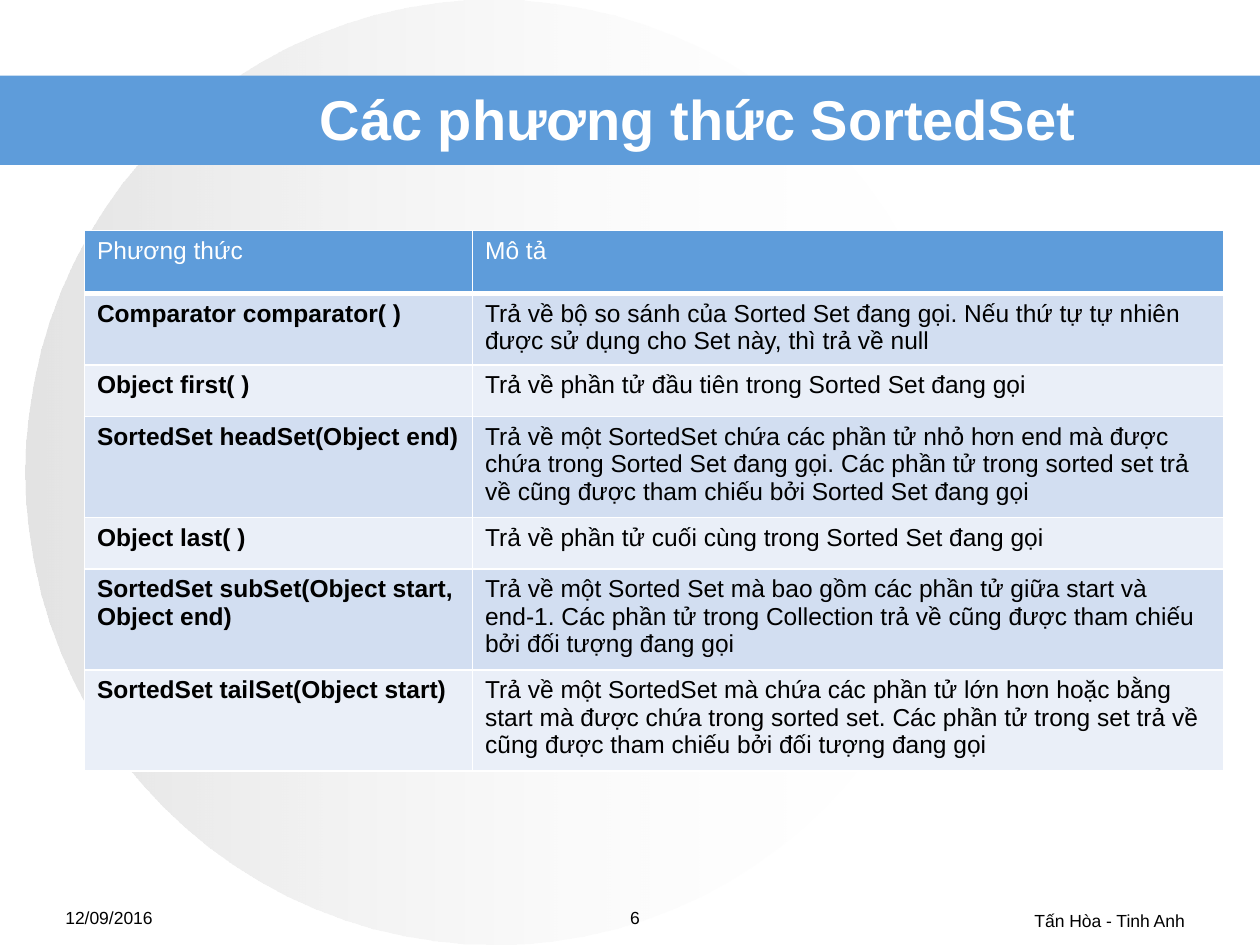
import pptx
import pptx.util
import pptx.dml.color
import pptx.enum.shapes
import pptx.enum.text
import pptx.oxml
import pptx.oxml.ns
import lxml.etree
from dataclasses import dataclass

Inches = pptx.util.Inches
Shape = pptx.enum.shapes.MSO_SHAPE
Align = pptx.enum.text.PP_ALIGN
Anchor = pptx.enum.text.MSO_ANCHOR


@dataclass(frozen=True)
class Theme:
    font: str = "Arial"
    accent: str = "5E9CDA"
    bands: tuple = ("D2DEF1", "EAEFF8")
    white: str = "FFFFFF"
    black: str = "000000"
    silver: str = "C0C0C0"
    title: int = 32
    body: int = 14
    footer: int = 10


THEME = Theme()

HEADER = ("Phương thức", "Mô tả")
METHODS = [
    ("Comparator comparator( )",
     "Trả về bộ so sánh của Sorted Set đang gọi. Nếu thứ tự tự nhiên được sử dụng cho Set này, thì trả về null"),
    ("Object first( )",
     "Trả về phần tử đầu tiên trong Sorted Set đang gọi"),
    ("SortedSet headSet(Object end)",
     "Trả về một SortedSet chứa các phần tử nhỏ hơn end mà được chứa trong Sorted Set đang gọi. "
     "Các phần tử trong sorted set trả về cũng được tham chiếu bởi Sorted Set đang gọi"),
    ("Object last( )",
     "Trả về phần tử cuối cùng trong Sorted Set đang gọi"),
    ("SortedSet subSet(Object start, Object end)",
     "Trả về một Sorted Set mà bao gồm các phần tử giữa start và end-1. "
     "Các phần tử trong Collection trả về cũng được tham chiếu bởi đối tượng đang gọi"),
    ("SortedSet tailSet(Object start)",
     "Trả về một SortedSet mà chứa các phần tử lớn hơn hoặc bằng start mà được chứa trong sorted set. "
     "Các phần tử trong set trả về cũng được tham chiếu bởi đối tượng đang gọi"),
]
COL_WIDTHS = (3.08, 5.96)
ROW_HEIGHTS = (0.5, 0.53, 0.41, 0.75, 0.41, 0.76, 0.75)


def rgb(color):
    return pptx.dml.color.RGBColor.from_string(color)


def write(tf, text, size, color, bold=False, align=Align.LEFT):
    p = tf.paragraphs[0]
    p.alignment = align
    r = p.add_run()
    r.text = text
    formats = {"name": THEME.font, "size": pptx.util.Pt(size), "bold": bold}
    for name, value in formats.items():
        setattr(r.font, name, value)
    r.font.color.rgb = rgb(color)


def add_shape(s, kind, box):
    sp = s.shapes.add_shape(kind, *map(Inches, box))
    sp.shadow.inherit = False
    sp.line.fill.background()
    return sp


def add_disc(s, box):
    sp = add_shape(s, Shape.OVAL, box)
    sp.fill.gradient()
    sp.fill.gradient_angle = 0
    stops = ((0, THEME.silver, 44), (1, THEME.white, 0))
    for stop, (position, color, opacity) in zip(sp.fill.gradient_stops, stops):
        stop.position = position
        stop.color.rgb = rgb(color)
    # Opacity of each gradient stop
    colors = list(sp._element.spPr.iter(pptx.oxml.ns.qn("a:srgbClr")))
    for clr, (position, color, opacity) in zip(colors, stops):
        alpha = lxml.etree.SubElement(clr, pptx.oxml.ns.qn("a:alpha"))
        alpha.set("val", str(opacity * 1000))


def add_band(s, box):
    sp = add_shape(s, Shape.RECTANGLE, box)
    sp.fill.solid()
    sp.fill.fore_color.rgb = rgb(THEME.accent)


def add_text(s, box, text, size, color, anchor=Anchor.TOP, **style):
    tf = s.shapes.add_textbox(*map(Inches, box)).text_frame
    tf.word_wrap = True
    tf.vertical_anchor = anchor
    write(tf, text, size, color, **style)


def set_borders(cell, widths):
    tc_pr = cell._tc.get_or_add_tcPr()
    for side, width in zip("LRTB", widths):
        ln = pptx.oxml.parse_xml(
            f'<a:ln{side} {pptx.oxml.ns.nsdecls("a")} w="{int(pptx.util.Pt(width))}">'
            f'<a:solidFill><a:srgbClr val="{THEME.white}"/></a:solidFill></a:ln{side}>')
        tc_pr.append(ln)


def add_method_table(s, left, top):
    rows = [HEADER] + METHODS
    size = (sum(COL_WIDTHS), sum(ROW_HEIGHTS))
    frame = s.shapes.add_table(len(rows), len(HEADER), *map(Inches, (left, top, *size)))
    table = frame.table
    for column, width in zip(table.columns, COL_WIDTHS):
        column.width = Inches(width)
    for i, (row, height) in enumerate(zip(rows, ROW_HEIGHTS)):
        table.rows[i].height = Inches(height)
        header = i == 0
        for j, text in enumerate(row):
            cell = table.cell(i, j)
            set_borders(cell, (1, 1, 1, 3 if header else 1))
            cell.fill.solid()
            cell.fill.fore_color.rgb = rgb(THEME.accent if header else THEME.bands[(i - 1) % 2])
            write(cell.text_frame, text, THEME.body,
                  THEME.white if header else THEME.black,
                  bold=not header and j == 0)


def main():
    prs = pptx.Presentation()
    prs.slide_width, prs.slide_height = Inches(10), Inches(7.5)
    s = prs.slides.add_slide(prs.slide_layouts[6])

    # Backdrop
    add_disc(s, (0.2, 0, 7.44, 7.5))
    add_band(s, (0, 0.6, 10, 0.71))

    # Footer
    footers = (
        ((7.17, 7.17, 2.33, 0.27), "Tấn Hòa - Tinh Anh", Align.RIGHT),
        ((4.58, 7.15, 0.92, 0.29), "6", Align.CENTER),
        ((0.42, 7.15, 2.08, 0.29), "12/09/2016", Align.LEFT),
    )
    for box, text, align in footers:
        add_text(s, box, text, THEME.footer, THEME.black, align=align)

    # Title and table
    add_text(s, (2.25, 0.67, 6.58, 0.53), "Các phương thức SortedSet", THEME.title,
             THEME.white, anchor=Anchor.MIDDLE, bold=True, align=Align.CENTER)
    add_method_table(s, 0.67, 1.83)

    prs.save("out.pptx")


if __name__ == "__main__":
    main()
